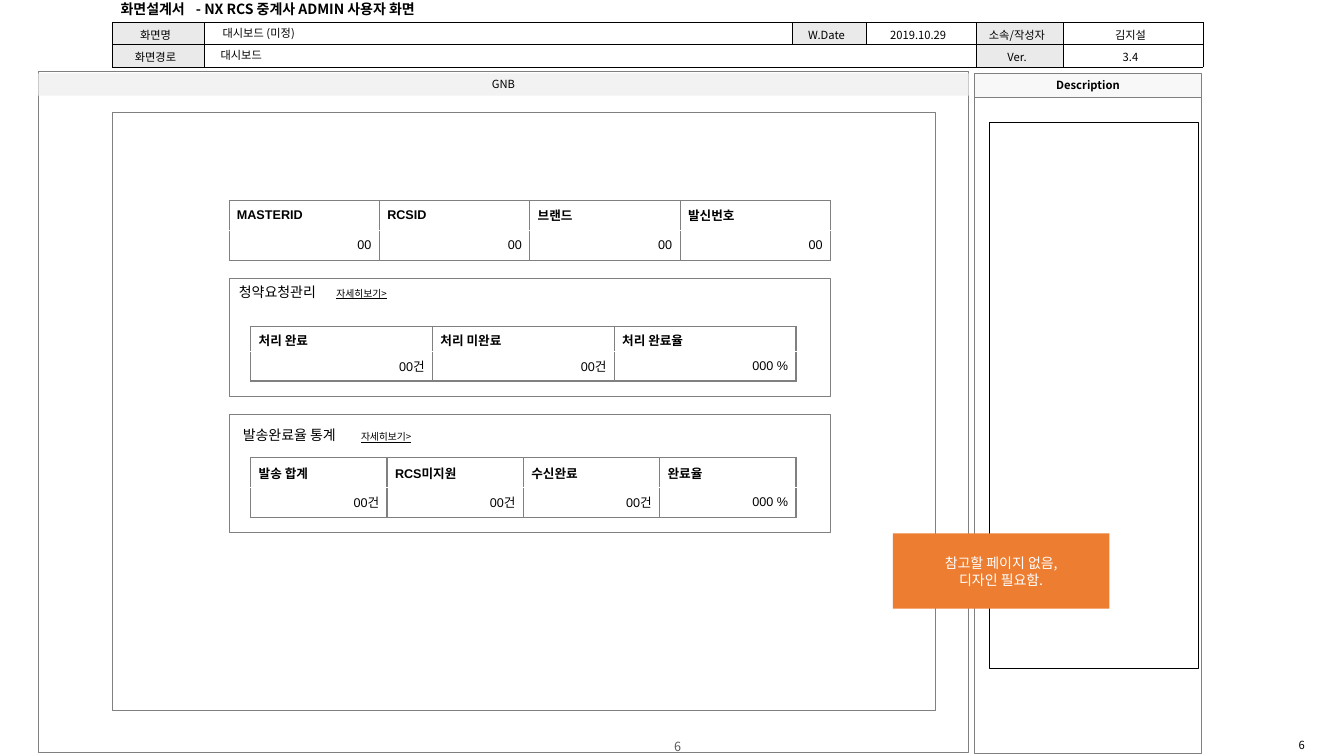
import lxml.etree
import pptx
import pptx.dml.color
import pptx.enum.shapes
import pptx.enum.text
import pptx.oxml.ns
import pptx.util

Cm, Pt = pptx.util.Cm, pptx.util.Pt
ALIGN = pptx.enum.text.PP_ALIGN
MIDDLE = pptx.enum.text.MSO_ANCHOR.MIDDLE

THEME = {
    "font": "Noto Sans CJK KR", "figure_font": "Arial",
    "black": "000000", "white": "FFFFFF", "gray": "808080", "page_gray": "595959",
    "label": "EAEAEA", "gnb": "F2F2F2", "description": "F8F8F8", "orange": "ED7D31",
    "link_size": 7, "small": 8, "figure": 9, "heading": 10,
    "hairline": 0.25, "thin": 0.5, "medium": 1,
}

# Boxes are left, top, width, height in centimetres.
FRAME = (0.97, 1.8, 23.44, 17.15)
DESCRIPTION = (24.56, 2.44, 5.72, 16.54)
DESCRIPTION_HEAD = (24.56, 1.85, 5.72, 0.61)
GNB = (0.97, 1.85, 23.44, 0.56)
NOTES = (24.92, 3.07, 5.28, 13.77)
CANVAS = (2.82, 2.84, 20.75, 15.06)
CALLOUT = (22.5, 13.44, 5.46, 1.9)
CALLOUT_LINES = ["참고할 페이지 없음,", "디자인 필요함."]

TITLE = ((2.79, -0.1, 8.81, 0.66), "화면설계서\t- NX RCS 중계사 ADMIN 사용자 화면", 1.9)
PAGE_NUMBERS = [
    ((31.75, 18.57, 2.11, 0.41), THEME["small"], THEME["black"]),
    ((13.13, 18.64, 7.9, 0.33), THEME["figure"], THEME["page_gray"]),
]
HEADER_AT = (2.83, 0.56)
HEADER_COLUMNS = [2.31, 14.83, 1.85, 2.77, 2.21, 3.51]
HEADER_ROWS = [
    ["화면명", "", "W.Date", "2019.10.29", "소속/작성자", "김지설"],
    ["화면경로", "", "", "", "Ver.", "3.4"],
]
HEADER_ENTRIES = [
    ((5.36, 0.53, 3.12, 0.61), "대시보드 (미정)"),
    ((5.31, 1.09, 3.15, 0.61), "대시보드"),
]

CARDS = [(5.77, 10.44, 15.16, 2.97), (5.77, 7.01, 15.16, 2.97)]
CARD_TITLES = [
    ((5.77, 7.01, 4.93, 0.69), "청약요청관리", 2.46),
    ((5.87, 10.62, 5.74, 0.69), "발송완료율 통계", 2.98),
]
LINK = "자세히보기>"

# Left, top, width, row heights, outer line, names, figures.
FIGURE_TABLES = [
    (6.32, 8.23, 13.74, [0.62, 0.75], THEME["medium"],
     ["처리 완료", "처리 미완료", "처리 완료율"], ["00건", "00건", "000 %"]),
    (6.32, 11.53, 13.74, [0.76, 0.74], THEME["medium"],
     ["발송 합계", "RCS미지원", "수신완료", "완료율"], ["00건", "00건", "00건", "000 %"]),
    (5.77, 5.05, 15.16, [0.76, 0.74], THEME["thin"],
     ["MASTERID", "RCSID", "브랜드", "발신번호"], ["00"] * 4),
]


def color(value):
    return pptx.dml.color.RGBColor.from_string(value)


def add_xml(parent, tag, **attributes):
    return lxml.etree.SubElement(parent, pptx.oxml.ns.qn(tag), attributes)


def write(frame, paragraphs, size=THEME["small"], font=THEME["font"], ink=THEME["black"],
          bold=False, align=ALIGN.LEFT, tab=None):
    """Fill a frame; a paragraph is a string or a list of (text, size, underline)."""
    for index, content in enumerate(paragraphs):
        para = frame.paragraphs[0] if index == 0 else frame.add_paragraph()
        para.alignment = align
        if tab:
            stops = add_xml(para._p.get_or_add_pPr(), "a:tabLst")
            add_xml(stops, "a:tab", pos=str(int(Cm(tab))), algn="l")
        if not content:
            add_xml(para._p, "a:endParaRPr", sz=str(size * 100))
            continue
        spans = [(content, size, False)] if isinstance(content, str) else content
        for text, span_size, underline in spans:
            span = para.add_run()
            span.text = text
            span.font.size = Pt(span_size)
            span.font.bold = bold
            if underline:
                span.font.underline = True
            span.font.color.rgb = color(ink)
            span.font.name = font
            add_xml(span._r.get_or_add_rPr(), "a:ea", typeface=THEME["font"])


def add_box(page, area, fill=None, line=None, width=THEME["hairline"],
            paragraphs=(), wrap=True, **style):
    box = page.shapes.add_shape(pptx.enum.shapes.MSO_SHAPE.RECTANGLE, *map(Cm, area))
    box.shadow.inherit = False
    if fill:
        box.fill.solid()
        box.fill.fore_color.rgb = color(fill)
    else:
        box.fill.background()
    if line:
        box.line.color.rgb = color(line)
        box.line.width = Pt(width)
    else:
        box.line.fill.background()
    box.text_frame.word_wrap = wrap
    box.text_frame.vertical_anchor = MIDDLE
    write(box.text_frame, paragraphs, align=ALIGN.CENTER, **style)


def add_label(page, area, content, anchor=pptx.enum.text.MSO_ANCHOR.TOP, **style):
    frame = page.shapes.add_textbox(*map(Cm, area)).text_frame
    frame.word_wrap = True
    frame.vertical_anchor = anchor
    write(frame, [content], **style)


def add_grid(page, left, top, columns, rows):
    graphic = page.shapes.add_table(len(rows), len(columns), Cm(left), Cm(top),
                                    Cm(sum(columns)), Cm(sum(rows)))
    table = graphic.table
    table.first_row = table.horz_banding = False
    for column, width in zip(table.columns, columns):
        column.width = Cm(width)
    for row, height in zip(table.rows, rows):
        row.height = Cm(height)
    return table


def format_cell(cell, text, fill, line, borders, margins, **style):
    """Borders map the side letters L, R, T and B to line widths in points."""
    cell.vertical_anchor = MIDDLE
    cell.margin_left, cell.margin_right = map(Cm, margins)
    cell.margin_top = cell.margin_bottom = Cm(0.1)
    properties = cell._tc.get_or_add_tcPr()
    for side in "LRTB":
        if side in borders:
            edge = add_xml(properties, "a:ln" + side, w=str(int(Pt(borders[side]))))
            add_xml(add_xml(edge, "a:solidFill"), "a:srgbClr", val=line)
    cell.fill.solid()
    cell.fill.fore_color.rgb = color(fill)
    write(cell.text_frame, [text], **style)


def add_header(page):
    table = add_grid(page, *HEADER_AT, HEADER_COLUMNS, [0.56, 0.56])
    for r, texts in enumerate(HEADER_ROWS):
        for c, text in enumerate(texts):
            fill = THEME["label"] if c % 2 == 0 and text else THEME["white"]
            format_cell(table.cell(r, c), text, fill, THEME["black"],
                        dict.fromkeys("LRTB", THEME["hairline"]), (0.1, 0.23),
                        align=ALIGN.CENTER)
    table.cell(1, 1).merge(table.cell(1, 3))


def add_figures(page, left, top, width, rows, outer, names, figures):
    count = len(names)
    table = add_grid(page, left, top, [width / count] * count, rows)
    for r, texts in enumerate([names, figures]):
        for c, text in enumerate(texts):
            borders = {
                "L": outer if c == 0 else THEME["medium"],
                "R": outer if c == count - 1 else THEME["medium"],
                "B" if r else "T": outer,
            }
            format_cell(table.cell(r, c), text, THEME["white"], THEME["gray"], borders,
                        (0.2, 0.2), size=THEME["figure"], font=THEME["figure_font"],
                        bold=r == 0, align=ALIGN.RIGHT if r else ALIGN.LEFT)


def main():
    deck = pptx.Presentation()
    deck.slide_width, deck.slide_height = Cm(33.87), Cm(19.05)
    page = deck.slides.add_slide(deck.slide_layouts[6])

    for area, size, ink in PAGE_NUMBERS:
        add_label(page, area, "6", anchor=MIDDLE, size=size, ink=ink, align=ALIGN.CENTER)
    add_box(page, FRAME, line=THEME["gray"])
    add_header(page)
    area, title, tab = TITLE
    add_label(page, area, title, anchor=MIDDLE, size=THEME["heading"], bold=True, tab=tab)
    add_box(page, DESCRIPTION, line=THEME["gray"])
    add_box(page, DESCRIPTION_HEAD, fill=THEME["description"], line=THEME["gray"],
            paragraphs=["Description"], wrap=False, bold=True)
    add_box(page, GNB, fill=THEME["gnb"], paragraphs=["GNB"])

    for card in CARDS:
        add_box(page, card, fill=THEME["white"], line=THEME["gray"], width=THEME["thin"])
    add_box(page, NOTES, fill=THEME["white"], line=THEME["black"])
    add_box(page, CANVAS, line=THEME["gray"])
    for area, entry in HEADER_ENTRIES:
        add_label(page, area, entry)
    for figure_table in FIGURE_TABLES:
        add_figures(page, *figure_table)
    for area, heading, tab in CARD_TITLES:
        add_label(page, area, [(heading + "\t", THEME["heading"], False),
                               (LINK, THEME["link_size"], True)], tab=tab)
    add_box(page, CALLOUT, fill=THEME["orange"], paragraphs=CALLOUT_LINES,
            size=THEME["heading"], ink=THEME["white"])
    deck.save("out.pptx")


if __name__ == "__main__":
    main()
